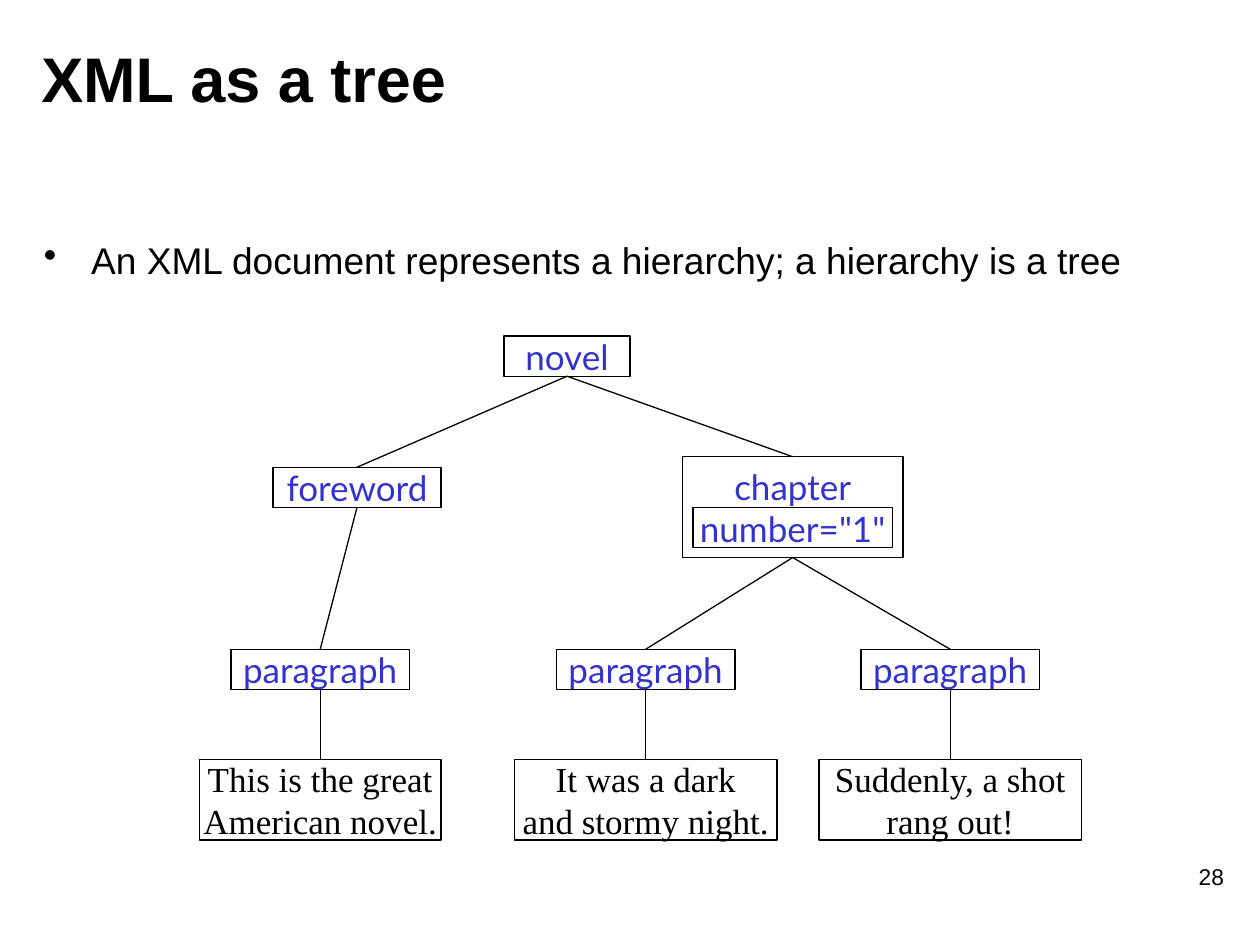
import pptx
import pptx.dml.color
import pptx.enum.shapes
import pptx.enum.text
import pptx.oxml
import pptx.oxml.ns
import pptx.util

Pt = pptx.util.Pt
ALIGN = pptx.enum.text.PP_ALIGN
ANCHOR = pptx.enum.text.MSO_ANCHOR
SHAPE = pptx.enum.shapes.MSO_SHAPE
BLACK, BLUE = "000000", "3333CC"

# Content
TITLE = "XML as a tree"
STATEMENT = "An XML document represents a hierarchy; a hierarchy is a tree"
PAGE_NUMBER = "28"

# Tree nodes: key, lines of text, centre x, top, width, height
ELEMENTS = [
    ("novel", ["novel"], 324, 192, 72, 23),
    ("foreword", ["foreword"], 204, 267, 96, 23),
    ("chapter", ["chapter", 'number="1"'], 453, 261, 126, 57.6),
    ("attribute", [], 453, 290, 114, 23),
]
# Each paragraph element has its text below it: parent, centre x, lines, text width
PARAGRAPHS = [
    ("foreword", 183, ["This is the great", "American novel."], 138),
    ("chapter", 369, ["It was a dark", "and stormy night."], 150),
    ("chapter", 543, ["Suddenly, a shot", "rang out!"], 150),
]
PARAGRAPH_TOP, PARAGRAPH_WIDTH, PARAGRAPH_HEIGHT = 371, 102, 23
TEXT_TOP, TEXT_HEIGHT = 434, 46


def color(value):
    return pptx.dml.color.RGBColor.from_string(value)


def add_run(paragraph, text, size, font, ink, bold=False):
    run = paragraph.add_run()
    run.text = text
    run.font.name = font
    run.font.size = Pt(size)
    run.font.bold = bold
    run.font.color.rgb = color(ink)


def add_text(slide, box, text, size, bold=False, align=ALIGN.LEFT, anchor=ANCHOR.TOP):
    frame = slide.shapes.add_textbox(*map(Pt, box)).text_frame
    frame.word_wrap = True
    frame.vertical_anchor = anchor
    paragraph = frame.paragraphs[0]
    paragraph.alignment = align
    add_run(paragraph, text, size, "Arial", BLACK, bold)
    return paragraph


def add_bullet(paragraph, indent):
    properties = paragraph._p.get_or_add_pPr()
    properties.set("marL", str(Pt(indent)))
    properties.set("indent", str(-Pt(indent)))
    bullet = pptx.oxml.parse_xml(
        f'<a:buChar {pptx.oxml.ns.nsdecls("a")} char="•"/>')
    properties.append(bullet)


def add_node(tree, lines, center, top, width, height, font, ink, kind=SHAPE.RECTANGLE):
    node = tree.shapes.add_shape(
        kind, Pt(center - width / 2), Pt(top), Pt(width), Pt(height))
    node.shadow.inherit = False
    node.fill.background()
    node.line.color.rgb = color(BLACK)
    node.line.width = Pt(0.75)
    frame = node.text_frame
    frame.word_wrap = False
    frame.vertical_anchor = ANCHOR.MIDDLE
    paragraph = frame.paragraphs[0]
    paragraph.alignment = ALIGN.CENTER
    for i, line in enumerate(lines):
        if i:
            paragraph.add_line_break()
        add_run(paragraph, line, 20, font, ink)
    return node


def join(tree, parent, child):
    branch = tree.shapes.add_connector(
        pptx.enum.shapes.MSO_CONNECTOR.STRAIGHT, 0, 0, 0, 0)
    branch.begin_connect(parent, 2)
    branch.end_connect(child, 0)
    branch.line.color.rgb = color(BLACK)
    branch.line.width = Pt(0.75)
    branch._element.spPr.append(pptx.oxml.parse_xml(
        f'<a:effectLst {pptx.oxml.ns.nsdecls("a")}/>'))


def main():
    deck = pptx.Presentation()
    deck.slide_width, deck.slide_height = Pt(720), Pt(540)
    slide = deck.slides.add_slide(deck.slide_layouts[6])

    # Page number, title and statement
    add_text(slide, (556.5, 489.6, 150, 36), PAGE_NUMBER, 13, align=ALIGN.RIGHT)
    add_text(slide, (16.5, 10.8, 578, 67), TITLE, 36, bold=True, anchor=ANCHOR.MIDDLE)
    statement = add_text(slide, (18, 132, 670, 33), STATEMENT, 21.2)
    add_bullet(statement, 27)

    # Element boxes
    tree = slide.shapes.add_group_shape()
    nodes = {}
    for key, lines, *box in ELEMENTS:
        kind = SHAPE.FLOWCHART_PROCESS if key == "novel" else SHAPE.RECTANGLE
        nodes[key] = add_node(tree, lines, *box, "Lato", BLUE, kind)
    branches = [(nodes["novel"], nodes["foreword"]), (nodes["novel"], nodes["chapter"])]

    # Paragraph boxes with their text
    for parent, center, lines, width in PARAGRAPHS:
        paragraph = add_node(tree, ["paragraph"], center, PARAGRAPH_TOP,
                             PARAGRAPH_WIDTH, PARAGRAPH_HEIGHT, "Lato", BLUE)
        text = add_node(tree, lines, center, TEXT_TOP, width, TEXT_HEIGHT,
                        "Times New Roman", BLACK)
        branches += [(nodes[parent], paragraph), (paragraph, text)]

    # Branches
    for parent, child in branches:
        join(tree, parent, child)

    # Fit the group to its members, now that the branches are in place
    tree._element.recalculate_extents()
    deck.save("out.pptx")


if __name__ == "__main__":
    main()
